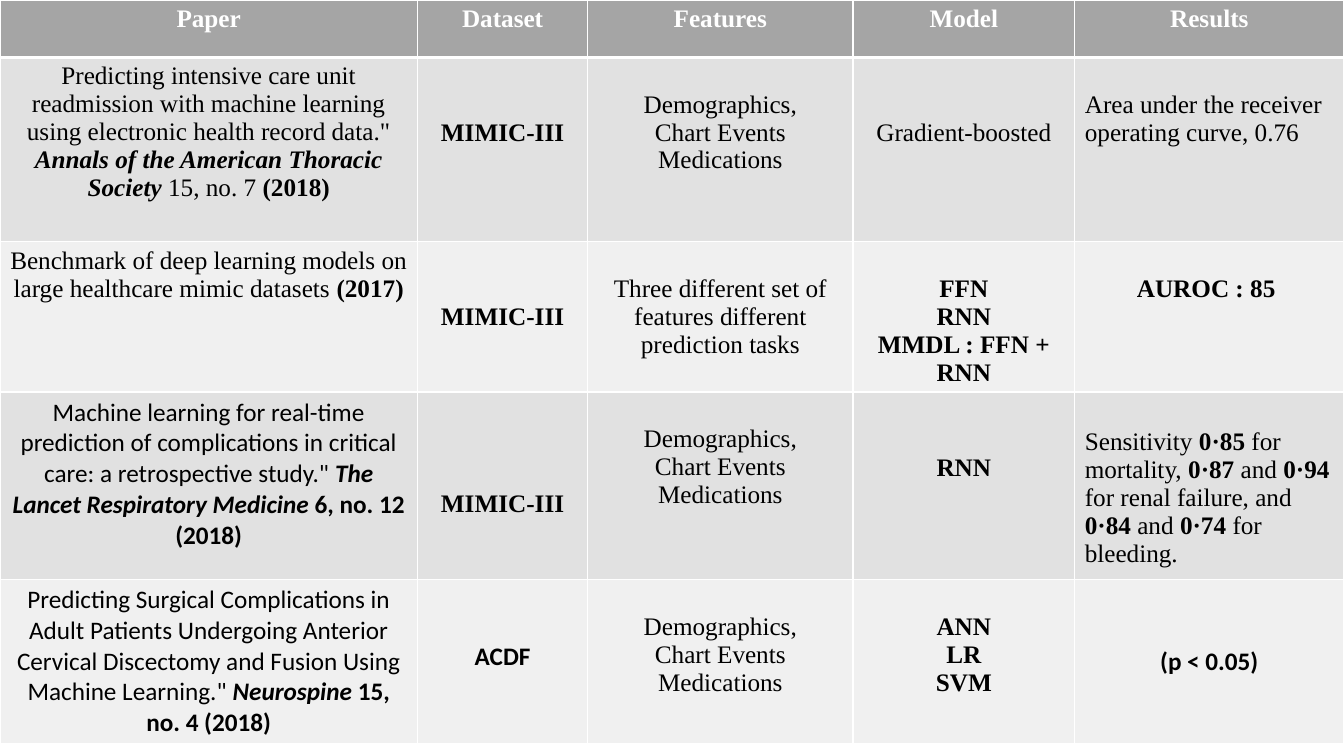
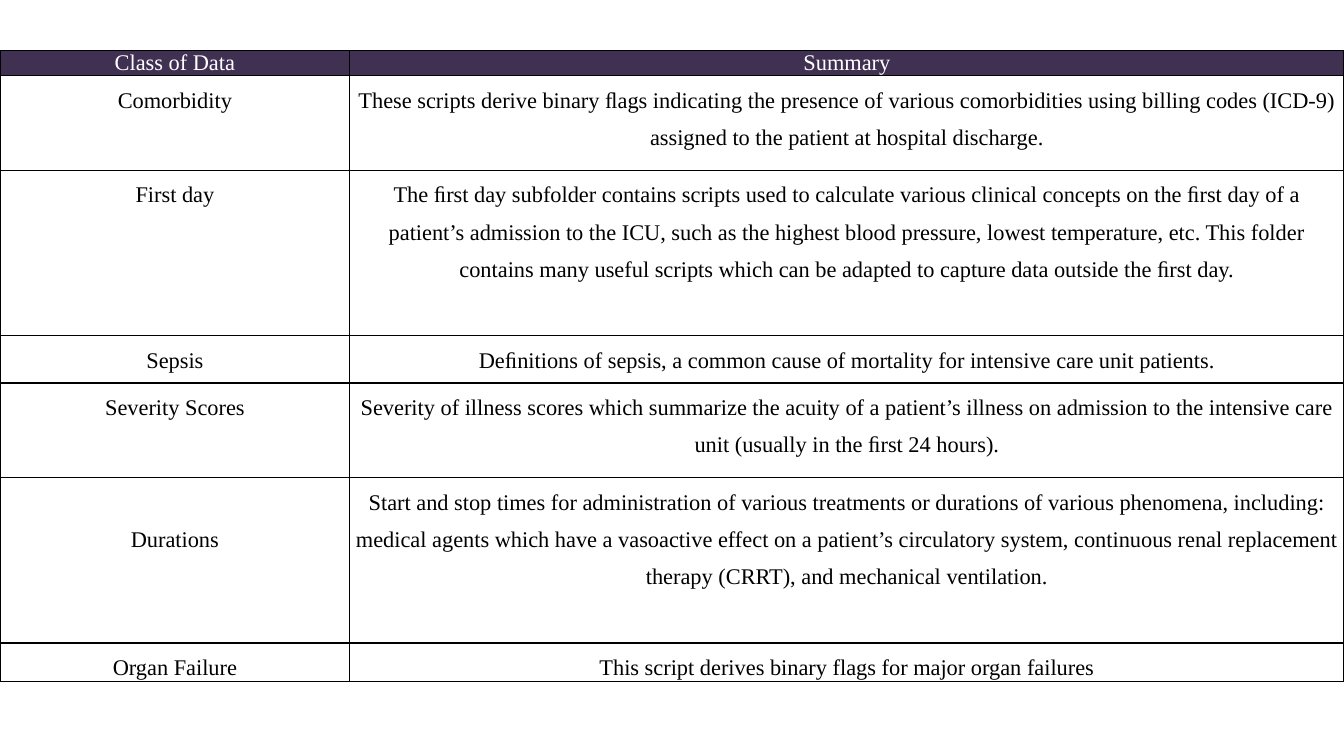
"""Build two table slides: related papers and classes of clinical data."""
from pptx import Presentation
from pptx.dml.color import RGBColor
from pptx.enum.text import PP_ALIGN
from pptx.oxml import parse_xml
from pptx.oxml.ns import nsdecls
from pptx.util import Inches, Pt

WHITE = RGBColor(0xFF, 0xFF, 0xFF)
BLACK = RGBColor(0x00, 0x00, 0x00)
GREY = RGBColor(0xA5, 0xA5, 0xA5)
BANDS = [RGBColor(0xF0, 0xF0, 0xF0), RGBColor(0xE1, 0xE1, 0xE1)]
PURPLE = RGBColor(0x40, 0x31, 0x52)
SERIF = "Times New Roman"
SANS = "Calibri"
WIDTH = 13.33


def add_grid(top, widths, heights):
    """Add a slide with one table of the given column widths and row heights."""
    slide = deck.slides.add_slide(deck.slide_layouts[6])
    frame = slide.shapes.add_table(len(heights), len(widths), 0, Inches(top),
                                   Inches(WIDTH), Inches(sum(heights)))
    table = frame.table
    for column, width in zip(table.columns, widths):
        column.width = Inches(width)
    for row, height in zip(table.rows, heights):
        row.height = Inches(height)
    return table


def write_cell(cell, text, size, color, fill, edge, base=1, font=SERIF,
               align=PP_ALIGN.CENTER, space=None):
    """Style a cell; *stars* mark bold text and /slashes/ mark italics."""
    props = cell._tc.get_or_add_tcPr()
    for side, width in (("L", 1), ("R", 1), ("T", 1), ("B", base)):
        props.append(parse_xml(
            f'<a:ln{side} {nsdecls("a")} w="{Pt(width)}"><a:solidFill>'
            f'<a:srgbClr val="{edge}"/></a:solidFill></a:ln{side}>'))
    if fill is None:
        cell.fill.background()
    else:
        cell.fill.solid()
        cell.fill.fore_color.rgb = fill
    frame = cell.text_frame
    for index, line in enumerate(text.split("\n")):
        para = frame.add_paragraph() if index else frame.paragraphs[0]
        para.alignment = align
        para.line_spacing = space
        para.font.name = font
        para.font.size = Pt(size)
        para.font.color.rgb = color
        for heavy, part in enumerate(line.split("*")):
            for slant, words in enumerate(part.split("/")):
                if words:
                    run = para.add_run()
                    run.text = words
                    run.font.bold = heavy % 2 == 1
                    run.font.italic = slant % 2 == 1


deck = Presentation()
deck.slide_width = Inches(WIDTH)
deck.slide_height = Inches(7.5)

CHARTS = "Demographics,\nChart Events\nMedications"
PAPERS = [
    ["*Paper*", "*Dataset*", "*Features*", "*Model*", "*Results*"],
    ["Predicting intensive care unit readmission with machine learning using "
     "electronic health record data.\" */Annals of the American Thoracic "
     "Society/* 15, no. 7 *(2018)*",
     "*MIMIC-III*", CHARTS, "Gradient-boosted",
     "Area under the receiver operating curve, 0.76"],
    ["Benchmark of deep learning models on large healthcare mimic datasets "
     "*(2017)*",
     "*MIMIC-III*", "Three different set of features different prediction tasks",
     "*FFN*\n*RNN*\n*MMDL : FFN + RNN*", "*AUROC : 85 *"],
    ["Machine learning for real-time prediction of complications in critical "
     "care: a retrospective study.\" */The Lancet Respiratory Medicine/ 6, "
     "no. 12 (2018)*",
     "*MIMIC-III*", CHARTS, "*RNN*",
     "Sensitivity *0·85* for mortality, *0·87* and *0·94* for renal failure, "
     "and *0·84* and *0·74* for bleeding."],
    ["Predicting Surgical Complications in Adult Patients Undergoing Anterior "
     "Cervical Discectomy and Fusion Using Machine Learning.\" */Neurospine/ "
     "15, no. 4 (2018)*",
     "*ACDF*", CHARTS, "*ANN*\n*LR*\n*SVM*", "*(p < 0.05)*"],
]
DROPS = [
    [0, 0, 0, 0, 0],
    [0, 0.56, 0.28, 0.56, 0.28],
    [0, 0.56, 0.28, 0.28, 0.28],
    [0, 0.92, 0.28, 0.56, 0.31],
    [0, 0.56, 0.28, 0.28, 0.61],
]
SANS_CELLS = {(3, 0), (4, 0), (4, 1), (4, 4)}
LEFT_CELLS = {(1, 4), (3, 4)}

table = add_grid(0, [4.14, 1.69, 2.63, 2.2, 2.67], [0.57, 1.83, 1.49, 1.86, 1.63])
for r, row in enumerate(PAPERS):
    for c, text in enumerate(row):
        cell = table.cell(r, c)
        cell.margin_top = Inches(0.05 + DROPS[r][c])
        write_cell(cell, text, 18, BLACK if r else WHITE,
                   BANDS[r % 2] if r else GREY, WHITE, base=1 if r else 3,
                   font=SANS if (r, c) in SANS_CELLS else SERIF,
                   align=PP_ALIGN.LEFT if (r, c) in LEFT_CELLS else PP_ALIGN.CENTER)

CLASSES = [
    ("Class of Data", "Summary"),
    ("Comorbidity",
     "These scripts derive binary ﬂags indicating the presence of various "
     "comorbidities using billing codes (ICD-9) assigned to the patient at "
     "hospital discharge."),
    ("First day",
     "The ﬁrst day subfolder contains scripts used to calculate various clinical "
     "concepts on the ﬁrst day of a patient’s admission to the ICU, such as the "
     "highest blood pressure, lowest temperature, etc. This folder contains many "
     "useful scripts which can be adapted to capture data outside the ﬁrst day."),
    ("Sepsis",
     "Deﬁnitions of sepsis, a common cause of mortality for intensive care unit "
     "patients."),
    ("Severity Scores",
     "Severity of illness scores which summarize the acuity of a patient’s "
     "illness on admission to the intensive care unit (usually in the ﬁrst 24 "
     "hours)."),
    ("Durations",
     "Start and stop times for administration of various treatments or durations "
     "of various phenomena, including: medical agents which have a vasoactive "
     "effect on a patient’s circulatory system, continuous renal replacement "
     "therapy (CRRT), and mechanical ventilation."),
    ("Organ Failure", "This script derives binary flags for major organ failures"),
]

table = add_grid(0.5, [3.47, 9.86], [0.25, 0.94, 1.64, 0.47, 0.94, 1.64, 0.38])
for r, row in enumerate(CLASSES):
    for c, text in enumerate(row):
        cell = table.cell(r, c)
        cell.margin_left = cell.margin_right = Inches(0.04)
        cell.margin_top = Inches(0.37 if text == "Durations" else 0)
        cell.margin_bottom = 0
        write_cell(cell, text, 16, BLACK if r else WHITE,
                   None if r else PURPLE, BLACK, space=1.5 if r else None)

deck.save("out.pptx")
